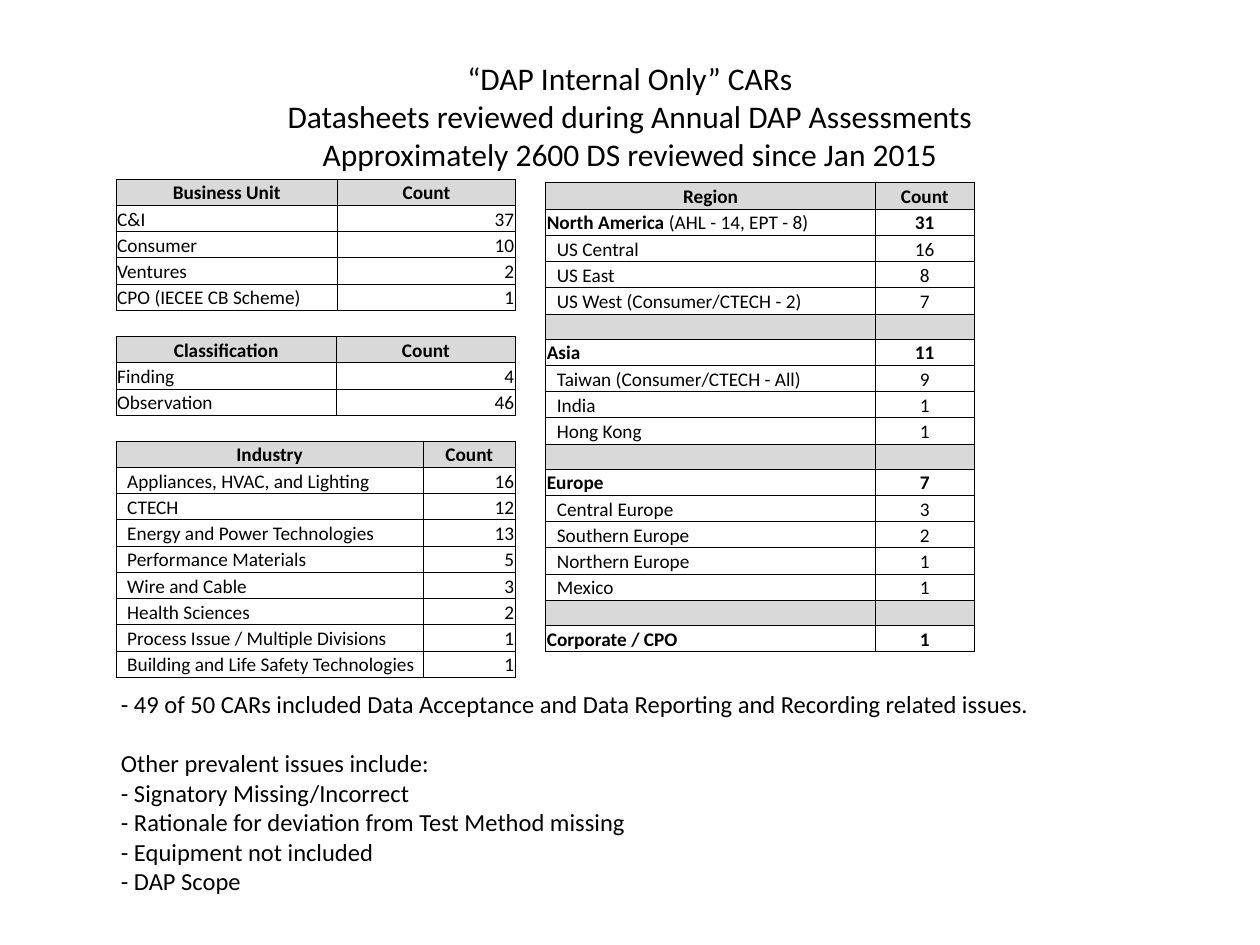
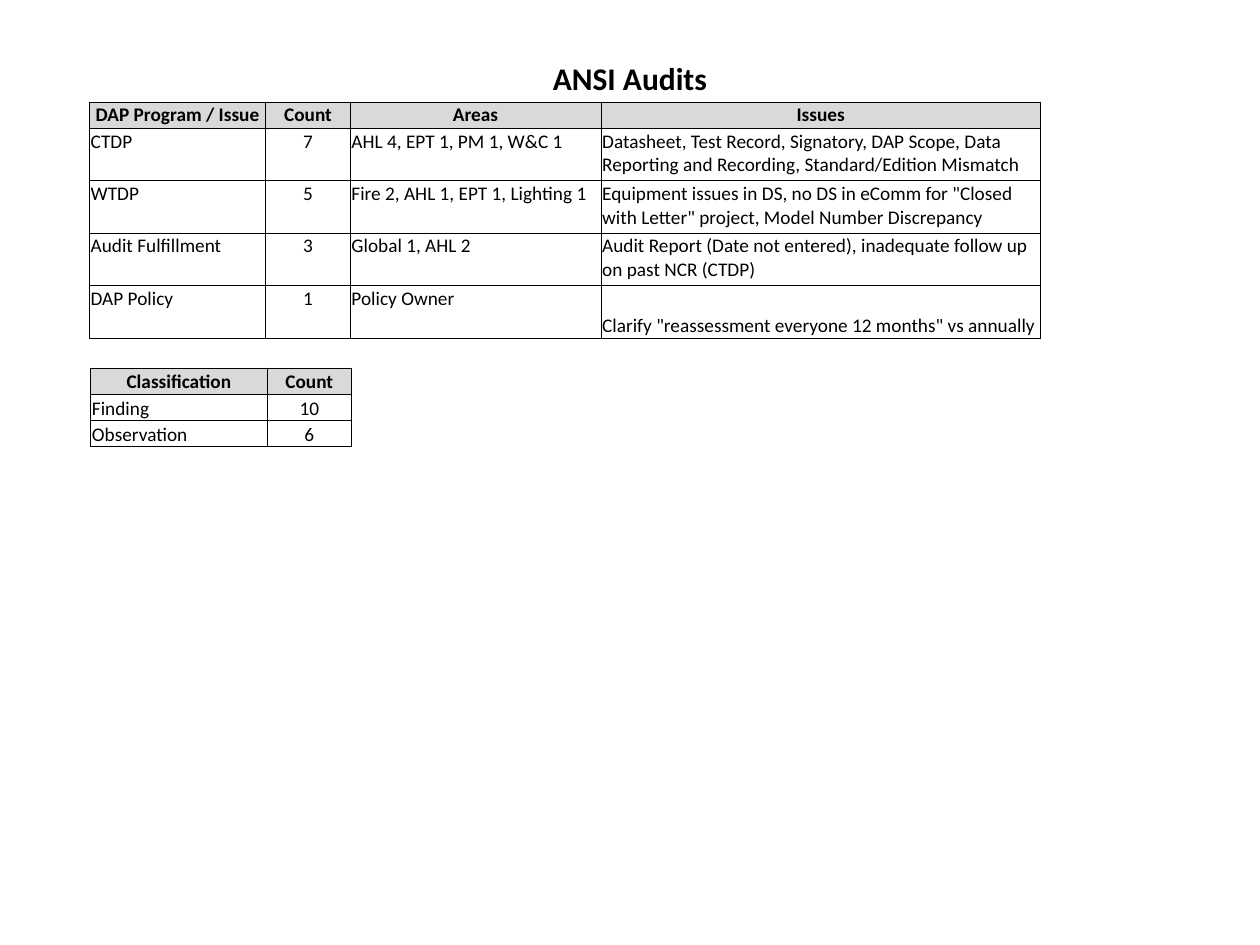
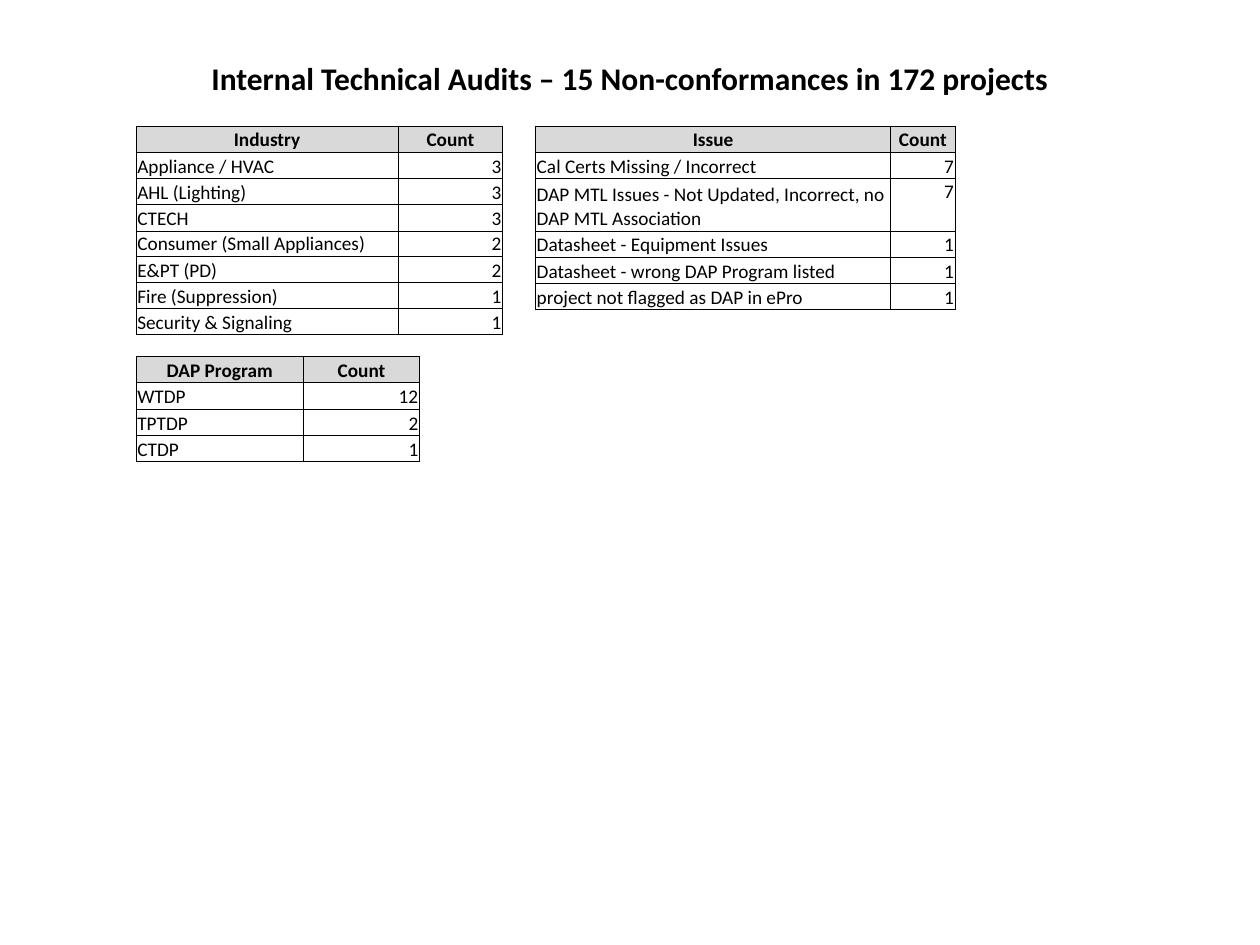
"""Build three slides that summarise audit findings in tables."""
from lxml import etree
from pptx import Presentation
from pptx.dml.color import RGBColor
from pptx.enum.text import MSO_ANCHOR, MSO_AUTO_SIZE, PP_ALIGN
from pptx.oxml.ns import qn
from pptx.util import Inches, Pt

LEFT, CENTER, RIGHT = PP_ALIGN.LEFT, PP_ALIGN.CENTER, PP_ALIGN.RIGHT
TOP, BOTTOM = MSO_ANCHOR.TOP, MSO_ANCHOR.BOTTOM
NO_AUTOFIT = MSO_AUTO_SIZE.NONE

BLACK = RGBColor(0x00, 0x00, 0x00)
GRAY = RGBColor(0xD9, 0xD9, 0xD9)
FONT = "Calibri"
TITLE_SIZE, BODY_SIZE, CELL_SIZE = 18, 14, 11
ROW_HEIGHT, SPACER_HEIGHT = 5 / 24, 0.19
CELL_INSET, CELL_INDENT = 0.01, 0.09
TITLE_LAYOUT, CONTENT_LAYOUT = 5, 1

REGIONS = [
    ("North America", "31", [("US Central", "16"), ("US East", "8"),
                             ("US West (Consumer/CTECH - 2)", "7")]),
    ("Asia", "11", [("Taiwan (Consumer/CTECH - All)", "9"), ("India", "1"),
                    ("Hong Kong", "1")]),
    ("Europe", "7", [("Central Europe", "3"), ("Southern Europe", "2"),
                     ("Northern Europe", "1"), ("Mexico", "1")]),
    ("Corporate / CPO", "1", []),
]


class Deck:
    """Hold the shared style and the current slide."""

    def __init__(self):
        self.prs = Presentation()
        self.prs.slide_width, self.prs.slide_height = Inches(10), Inches(7.5)
        self.s = None

    def style(self, font, size, bold=False):
        """Apply the common typeface."""
        font.name, font.size, font.bold = FONT, Pt(size), bold
        font.color.rgb = BLACK

    def place(self, sp, left, top, width, height):
        """Move a placeholder and fix its text frame."""
        sp.left, sp.top = Inches(left), Inches(top)
        sp.width, sp.height = Inches(width), Inches(height)
        sp.text_frame.auto_size = NO_AUTOFIT
        sp.text_frame.vertical_anchor = TOP

    def slide(self, title, height=0.4, bold=True, layout=TITLE_LAYOUT):
        """Start a slide with a centred title."""
        self.s = self.prs.slides.add_slide(self.prs.slide_layouts[layout])
        sp = self.s.shapes.title
        self.place(sp, 0.71, 0.42, 8.58, height)
        sp.text_frame.text = title
        for p in sp.text_frame.paragraphs:
            p.alignment = CENTER
            self.style(p.runs[0].font, TITLE_SIZE, bold)

    def body(self, left, top, width, height, lines, gap_before):
        """Fill the body placeholder with plain lines."""
        sp = self.s.placeholders[1]
        self.place(sp, left, top, width, height)
        sp.text_frame.text = "\n".join(lines)
        for i, p in enumerate(sp.text_frame.paragraphs):
            pPr = p._p.get_or_add_pPr()
            pPr.set("marL", "0")
            pPr.set("indent", "0")
            etree.SubElement(pPr, qn("a:buNone"))
            p.space_before = Pt(17 if i == gap_before else 0)
            self.style(p.runs[0].font, BODY_SIZE)

    def borders(self, cell):
        """Draw a thin black line on each side of a cell."""
        tcPr = cell._tc.get_or_add_tcPr()
        for side in ("lnL", "lnR", "lnT", "lnB"):
            ln = etree.SubElement(tcPr, qn(f"a:{side}"), w=str(Pt(0.5)))
            fill = etree.SubElement(ln, qn("a:solidFill"))
            etree.SubElement(fill, qn("a:srgbClr"), val=str(BLACK))

    def cell(self, cell, text, align, shaded, bold, indented, anchor):
        """Format one table cell."""
        self.borders(cell)
        if shaded:
            cell.fill.solid()
            cell.fill.fore_color.rgb = GRAY
        else:
            cell.fill.background()
        cell.margin_left = Inches(CELL_INDENT if indented else CELL_INSET)
        cell.margin_right = cell.margin_top = Inches(CELL_INSET)
        cell.margin_bottom = 0
        cell.vertical_anchor = anchor
        p = cell.text_frame.paragraphs[0]
        p.alignment = align
        if text:
            p.text = text
            self.style(p.runs[0].font, CELL_SIZE, bold)
        else:
            etree.SubElement(p._p, qn("a:endParaRPr"), sz=str(CELL_SIZE * 100))

    def table(self, left, top, widths, rows, aligns=(LEFT, RIGHT), heights=None,
              bold=(), indented=(), anchor=BOTTOM):
        """Add a bordered table with a shaded header; empty rows are spacers."""
        row_heights = [ROW_HEIGHT if any(row) else SPACER_HEIGHT for row in rows]
        for i, height in (heights or {}).items():
            row_heights[i] = height
        tbl = self.s.shapes.add_table(
            len(rows), len(widths), Inches(left), Inches(top),
            Inches(sum(widths)), Inches(sum(row_heights))).table
        tbl.first_row = tbl.horz_banding = False
        for col, width in zip(tbl.columns, widths):
            col.width = Inches(width)
        for i, row in enumerate(rows):
            tbl.rows[i].height = Inches(row_heights[i])
            header = i == 0
            for j, text in enumerate(row):
                self.cell(tbl.cell(i, j), text, CENTER if header else aligns[j],
                          header or not any(row), header or i in bold,
                          i in indented and j == 0, anchor)
        return tbl


def region_table(deck):
    """Add the regions with their sub-regions, parted by spacer rows."""
    rows, bold, indented = [("Region", "Count")], [], []
    for name, count, parts in REGIONS:
        if bold:
            rows.append(("", ""))
        bold.append(len(rows))
        rows.append((name, count))
        indented.extend(range(len(rows), len(rows) + len(parts)))
        rows.extend(parts)
    tbl = deck.table(4.33, 1.45, (2.62, 0.78), rows, (LEFT, CENTER),
                     bold=bold, indented=indented)
    r = tbl.cell(1, 0).text_frame.paragraphs[0].add_run()
    r.text = " (AHL - 14, EPT - 8)"
    deck.style(r.font, CELL_SIZE)


def internal_cars(deck):
    """Build the slide on internal corrective actions."""
    deck.slide("“DAP Internal Only” CARs\n"
               "Datasheets reviewed during Annual DAP Assessments\n"
               "Approximately 2600 DS reviewed since Jan 2015",
               1.01, False, CONTENT_LAYOUT)
    deck.table(0.92, 1.42, (1.76, 1.41), [
        ("Business Unit", "Count"), ("C&I", "37"), ("Consumer", "10"),
        ("Ventures", "2"), ("CPO (IECEE CB Scheme)", "1")])
    deck.table(0.92, 2.67, (1.75, 1.42), [
        ("Classification", "Count"), ("Finding", "4"), ("Observation", "46")])
    deck.table(0.92, 3.5, (2.44, 0.73), [
        ("Industry", "Count"),
        ("Appliances, HVAC, and Lighting", "16"),
        ("CTECH", "12"),
        ("Energy and Power Technologies", "13"),
        ("Performance Materials", "5"),
        ("Wire and Cable", "3"),
        ("Health Sciences", "2"),
        ("Process Issue / Multiple Divisions", "1"),
        ("Building and Life Safety Technologies", "1")], indented=range(1, 9))
    region_table(deck)
    deck.body(0.86, 5.42, 8.58, 1.75, [
        "- 49 of 50 CARs included Data Acceptance and Data Reporting "
        "and Recording related issues.",
        "Other prevalent issues include:",
        "- Signatory Missing/Incorrect",
        "- Rationale for deviation from Test Method missing",
        "- Equipment not included",
        "- DAP Scope"], gap_before=1)


def ansi_audits(deck):
    """Build the slide on external audits."""
    deck.slide("ANSI Audits")
    deck.table(0.72, 2.92, (1.4, 0.67), [
        ("Classification", "Count"), ("Finding", "10"), ("Observation", "6")],
        (LEFT, CENTER))
    programs = [
        ("DAP Program / Issue", "Count", "Areas", "Issues"),
        ("CTDP", "7", "AHL 4, EPT 1, PM 1, W&C 1",
         "Datasheet, Test Record, Signatory, DAP Scope, Data Reporting and "
         "Recording, Standard/Edition Mismatch"),
        ("WTDP", "5", "Fire 2, AHL 1, EPT 1, Lighting 1",
         'Equipment issues in DS, no DS in eComm for "Closed with Letter" '
         "project, Model Number Discrepancy"),
        ("Audit Fulfillment", "3", "Global 1, AHL 2",
         "Audit Report (Date not entered), inadequate follow up on past NCR (CTDP)"),
        ("DAP Policy", "1", "Policy Owner",
         'Clarify "reassessment everyone 12 months" vs annually')]
    tbl = deck.table(0.71, 0.81, (1.4, 0.67, 1.99, 3.49), programs,
                     (LEFT, CENTER, LEFT, LEFT), anchor=TOP,
                     heights={i: 2 * ROW_HEIGHT for i in range(1, 5)})
    tbl.cell(4, 3).vertical_anchor = BOTTOM


def technical_audits(deck):
    """Build the slide on internal technical audits."""
    deck.slide("Internal Technical Audits – 15 Non-conformances in 172 projects")
    deck.table(1.08, 1, (2.08, 0.83), [
        ("Industry", "Count"), ("Appliance / HVAC", "3"), ("AHL (Lighting)", "3"),
        ("CTECH", "3"), ("Consumer (Small Appliances)", "2"), ("E&PT (PD)", "2"),
        ("Fire (Suppression)", "1"), ("Security & Signaling", "1")],
        heights={4: 0.2})
    deck.table(1.08, 2.83, (1.33, 0.92), [
        ("DAP Program", "Count"), ("WTDP", "12"), ("TPTDP", "2"), ("CTDP", "1")])
    tbl = deck.table(4.25, 1, (2.82, 0.51), [
        ("Issue", "Count"),
        ("Cal Certs Missing / Incorrect", "7"),
        ("DAP MTL Issues - Not Updated, Incorrect, no DAP MTL Association", "7"),
        ("Datasheet - Equipment Issues", "1"),
        ("Datasheet - wrong DAP Program listed", "1"),
        ("project not flagged as DAP in ePro", "1")], heights={2: 2 * ROW_HEIGHT})
    tbl.cell(2, 1).vertical_anchor = TOP


def main():
    """Build and save the deck."""
    deck = Deck()
    internal_cars(deck)
    ansi_audits(deck)
    technical_audits(deck)
    deck.prs.save("out.pptx")


if __name__ == "__main__":
    main()
